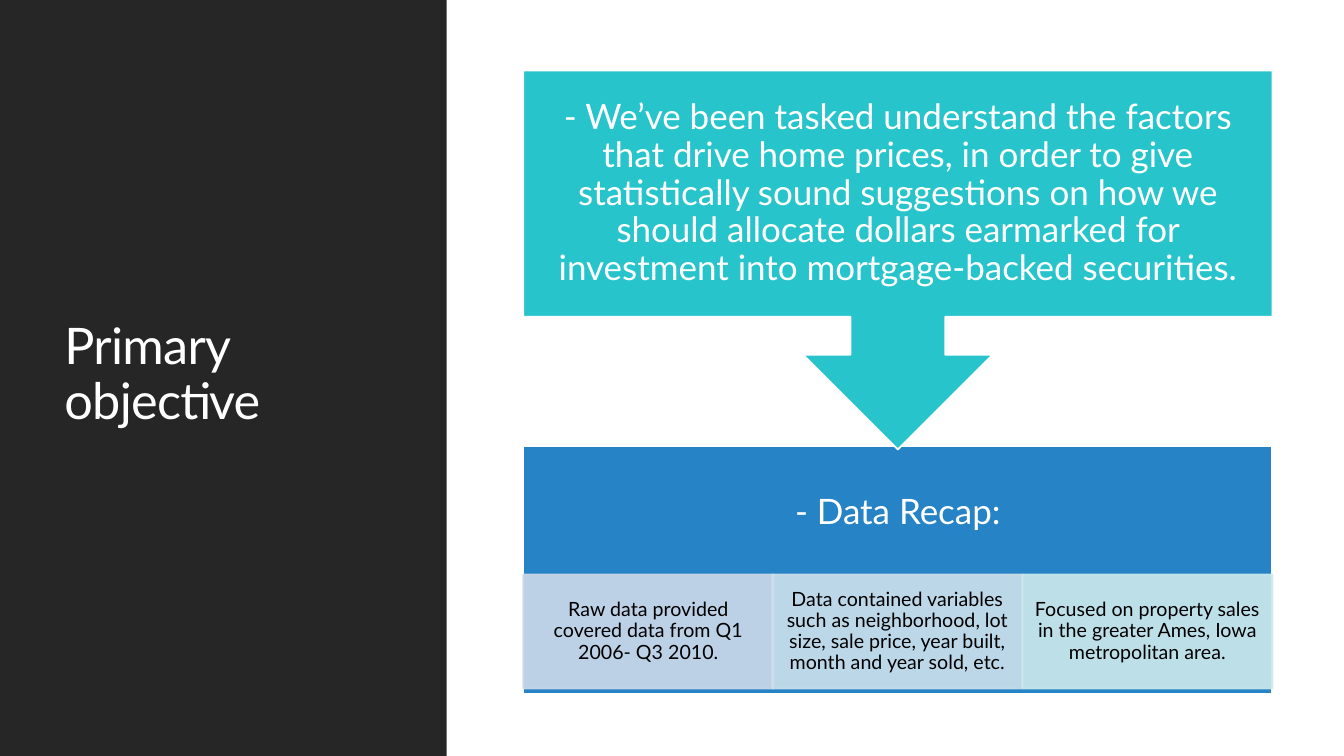
"""Build the primary objective slide with its callout and data recap."""
from lxml.etree import SubElement
from pptx import Presentation
from pptx.dml.color import RGBColor
from pptx.enum.shapes import MSO_SHAPE as SHAPE
from pptx.enum.text import MSO_ANCHOR as ANCHOR, PP_ALIGN as ALIGN
from pptx.oxml.ns import qn
from pptx.util import Pt

PX = 9144
COLORS = {"dark": "262626", "white": "FFFFFF", "black": "000000",
          "teal": "28C4CC", "blue": "2683C6"}
FONT = "Lato"


def add_block(kind, left, top, width, height, fill, line=None, alpha=None):
    block = slide.shapes.add_shape(kind, left * PX, top * PX, width * PX, height * PX)
    block.shadow.inherit = False
    block.fill.solid()
    block.fill.fore_color.rgb = RGBColor.from_string(fill)
    if line:
        block.line.color.rgb = RGBColor.from_string(line)
        block.line.width = Pt(1.25)
    else:
        block.line.fill.background()
    if alpha:
        for color in block._element.spPr.iter(qn("a:srgbClr")):
            SubElement(color, qn("a:alpha")).set("val", str(alpha * 1000))
    return block


def write(box, text, size, color, align, insets):
    frame = box.text_frame
    frame.word_wrap = True
    frame.vertical_anchor = ANCHOR.MIDDLE
    (frame.margin_left, frame.margin_top,
     frame.margin_right, frame.margin_bottom) = [inset * PX for inset in insets]
    para = frame.paragraphs[0]
    para.alignment = align
    para.line_spacing = 0.9
    span = para.add_run()
    span.text = text
    span.font.size = Pt(size)
    span.font.name = FONT
    span.font.color.rgb = RGBColor.from_string(color)
    return span


deck = Presentation()
deck.slide_width, deck.slide_height = 1333 * PX, 750 * PX
slide = deck.slides.add_slide(deck.slide_layouts[6])
slide.background.fill.solid()
slide.background.fill.fore_color.rgb = RGBColor.from_string(COLORS["white"])

add_block(SHAPE.RECTANGLE, 0, 0, 443, 750, COLORS["dark"])
title = slide.shapes.add_textbox(54 * PX, 57 * PX, 337 * PX, 631 * PX)
title_span = write(title, "Primary objective", 36, COLORS["white"], ALIGN.LEFT, (10, 5, 10, 5))
title_span.font._element.set("spc", "-50")

LEFT, WIDTH = 519, 743
CELL_TOP, CELL_HEIGHT = 570, 113

recap = add_block(SHAPE.RECTANGLE, LEFT, 443, WIDTH, 245, COLORS["blue"], COLORS["white"])
write(recap, "- Data Recap:", 25, COLORS["white"], ALIGN.CENTER, (19, 19, 19, 19 + CELL_HEIGHT))

facts = [
    ("CDD9EA", "Raw data provided covered data from Q1 2006- Q3 2010."),
    ("CDE1EB", "Data contained variables such as neighborhood, lot size, sale price, "
               "year built, month and year sold, etc."),
    ("CDE9EC", "Focused on property sales in the greater Ames, Iowa metropolitan area."),
]
for index, (tint, fact) in enumerate(facts):
    cell_left = LEFT + WIDTH * index // len(facts)
    cell = add_block(SHAPE.RECTANGLE, cell_left, CELL_TOP, WIDTH // len(facts) + 1, CELL_HEIGHT,
                     tint, tint, alpha=90)
    write(cell, fact, 14, COLORS["black"], ALIGN.CENTER, (11, 2, 11, 2))

callout = add_block(SHAPE.DOWN_ARROW_CALLOUT, LEFT, 70, WIDTH, 376,
                    COLORS["teal"], COLORS["white"])
write(callout, "- We’ve been tasked understand the factors that drive home prices, in order to "
      "give statistically sound suggestions on how we should allocate dollars earmarked for "
      "investment into mortgage-backed securities.",
      25, COLORS["white"], ALIGN.CENTER, (19, 19, 19, 19))

deck.save("out.pptx")
